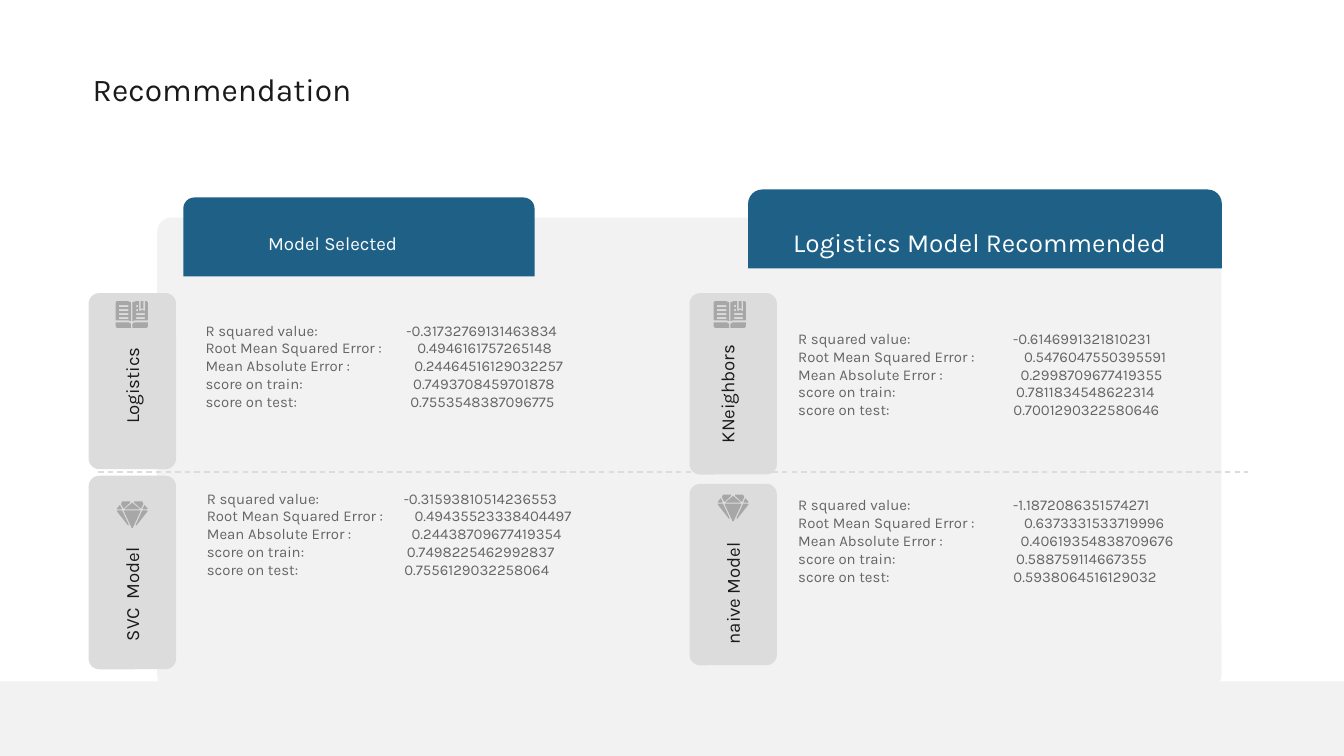
from lxml.etree import SubElement as Sub
from pptx import Presentation
from pptx.dml.color import RGBColor
from pptx.enum.dml import MSO_LINE as Dash
from pptx.enum.shapes import MSO_CONNECTOR as Conn, MSO_SHAPE as Kind
from pptx.enum.text import MSO_ANCHOR as Anchor, MSO_AUTO_SIZE as Fit, PP_ALIGN as Align
from pptx.oxml.ns import qn
from pptx.util import Pt

PALE = RGBColor(0xF2, 0xF2, 0xF2)
GREY = RGBColor(0xDC, 0xDC, 0xDC)
MID = RGBColor(0xA7, 0xA7, 0xA7)
BLUE = RGBColor(0x1F, 0x60, 0x87)
WHITE = RGBColor(0xFC, 0xFF, 0xFF)
DARK = RGBColor(0x1A, 0x1A, 0x1A)
SOFT = RGBColor(0x65, 0x65, 0x65)

FONT = "Karla"
TAB_W = 46.8
UNIT = 0.72
NAMES = ["R squared value:", "Root Mean Squared Error :", "Mean Absolute Error :",
         "score on train:", "score on test:"]


def rect(x, y, w, h):
    return [(x, y), (x + w, y), (x + w, y + h), (x, y + h)]


def flip(paths, width):
    return [[(width - x, y) for x, y in path] for path in paths]


BASE = [[(0, 16), (10, 16), (11.5, 17), (11.5, 20), (1, 20), (0, 19)]]
BOOK = [
    [(0, 1), (1, 0), (9, 0), (11.5, 1), (11.5, 15), (10, 14.5), (0, 14.5)],
    [(12.5, 1), (15.5, 0), (17.5, 0), (17.5, 7), (18, 7.5), (20, 6.5), (21.5, 7.5),
     (22, 7), (22, 0), (23, 0), (24, 1), (24, 14.5), (14, 14.5), (12.5, 15)],
    [(18.7, 0), (20.8, 0), (20.8, 6), (19.8, 5.3), (18.7, 6)],
    *[rect(2.5, y, 7, 1.5) for y in (3, 6, 9, 12)],
    *[rect(15.3, y, 1.5, 1.5) for y in (3, 6)],
    *[rect(15.3, y, 6.5, 1.5) for y in (9, 12)],
    *BASE, *flip(BASE, 24),
]
SIDE = [
    [(4, 0), (10, 0), (10, 1), (5.3, 5.3), (4.7, 5), (3.2, 2)],
    [(2.3, 2.7), (3.8, 5.5), (3.3, 6), (0.4, 6), (0, 5.5)],
    [(0.4, 6.8), (4, 6.8), (9, 17.5), (8.4, 18), (0, 7.3)],
]
GEM = [
    *SIDE, *flip(SIDE, 23),
    [(11.5, 1), (17, 5.5), (16.7, 6), (6.3, 6), (6, 5.5)],
    [(5.5, 6.8), (17.5, 6.8), (17.7, 7.3), (11.8, 20), (11.2, 20), (5.3, 7.3)],
]


def paint(shape, color):
    shape.shadow.inherit = False
    shape.fill.solid()
    shape.fill.fore_color.rgb = color
    shape.line.fill.background()


def block(slide, kind, box, color, *adj):
    shape = slide.shapes.add_shape(kind, *map(Pt, box))
    paint(shape, color)
    for i, val in enumerate(adj):
        shape.adjustments[i] = val


def icon(slide, x, y, paths):
    grid = [[(px * 10, py * 10) for px, py in path] for path in paths]
    pen = slide.shapes.build_freeform(*grid[0][0], scale=Pt(UNIT / 10))
    pen.add_line_segments(grid[0][1:], close=True)
    for path in grid[1:]:
        pen.move_to(*path[0])
        pen.add_line_segments(path[1:], close=True)
    paint(pen.convert_to_shape(Pt(x), Pt(y)), MID)


def text(slide, box, lines, size, color, align=Align.LEFT, anchor=Anchor.MIDDLE, turn=0):
    shape = slide.shapes.add_textbox(*map(Pt, box))
    shape.rotation = turn
    frame = shape.text_frame
    frame.margin_left = frame.margin_right = Pt(1.44)
    frame.margin_top = frame.margin_bottom = Pt(1.44)
    frame.word_wrap = True
    frame.auto_size = Fit.SHAPE_TO_FIT_TEXT
    frame.vertical_anchor = anchor
    frame.text = "\n".join(lines)
    for para in frame.paragraphs:
        para.alignment = align
        para.font.name = FONT
        para.font.size = Pt(size)
        para.font.color.rgb = color
    return frame


def stats(slide, x, y, vals, stops):
    lines = [f"{name}\t{val}" for name, val in zip(NAMES, vals)]
    frame = text(slide, (x, y, 228.2, 51.8), lines, 8, SOFT, anchor=Anchor.TOP)
    for para, stop in zip(frame.paragraphs, stops):
        props = para._p.get_or_add_pPr()
        tabs = props.find(qn("a:tabLst"))
        if tabs is None:
            tabs = Sub(props, qn("a:tabLst"))
        Sub(tabs, qn("a:tab"), pos=str(Pt(stop)), algn="l")


def card(slide, box, name, label, art, spot, data, vals, stops):
    x, y = box[:2]
    dx, dy, wide = label
    block(slide, Kind.ROUNDED_RECTANGLE, box, GREY, 0.12)
    text(slide, (x + dx, y + dy, wide, 15.1), [name], 10, DARK, Align.RIGHT, turn=270)
    icon(slide, x + spot[0], y + spot[1], art)
    stats(slide, x + data[0], y + data[1], vals, stops)


def header(slide, box, curve, label, title, size):
    block(slide, Kind.ROUND_2_SAME_RECTANGLE, box, BLUE, curve, 0)
    text(slide, label, [title], size, WHITE, Align.CENTER)


def divider(slide, x, y, w):
    line = slide.shapes.add_connector(Conn.STRAIGHT, Pt(x), Pt(y), Pt(x + w), Pt(y))
    line.line.color.rgb = GREY
    line.line.width = Pt(0.75)
    line.line.dash_style = Dash.DASH
    Sub(line._element.spPr, qn("a:effectLst"))


def main():
    deck = Presentation()
    deck.slide_width, deck.slide_height = Pt(720), Pt(405)
    slide = deck.slides.add_slide(deck.slide_layouts[6])

    block(slide, Kind.ROUNDED_RECTANGLE, (84.2, 116.6, 570.2, 252.7), PALE, 0.03)
    header(slide, (98.2, 105.8, 188.2, 42.2), 0.14, (109.4, 122.4, 137.5, 15.1),
           "Model Selected", 10)
    card(slide, (47.5, 157, TAB_W, 94.3), "Logistics", (-5.7, 48.9, 57.6),
         BOOK, (14.4, 4.3), (61.2, 13.6),
         ["-0.31732769131463834", "0.4946161757265148", "0.24464516129032257",
          "0.7493708459701878", "0.7553548387096775"],
         [107.6, 113.4, 111.8, 111.2, 109.7])
    card(slide, (47.5, 254.9, TAB_W, 103.7), "SVC  Model", (-5.7, 58.3, 57.6),
         GEM, (15.1, 13.7), (61.9, 5.7),
         ["-0.31593810514236553", "0.49435523338404497", "0.24438709677419354",
          "0.7498225462992837", "0.7556129032258064"],
         [105.5, 111.3, 109.7, 107.2, 105.8])
    divider(slide, 52.6, 252.9, 616.2)
    text(slide, (48.2, 35.3, 513.4, 23.8), ["Recommendation"], 17, DARK,
         anchor=Anchor.BOTTOM)
    block(slide, Kind.RECTANGLE, (0, 365, 720, 40), PALE)

    header(slide, (400.8, 101.5, 253.8, 42.2), 0.18, (416.2, 119.5, 217.4, 20.2),
           "Logistics Model Recommended", 14)
    stops = [115.2, 121, 119.2, 116.8, 115.3]
    card(slide, (369.4, 157, TAB_W, 97.2), "KNeighbors", (-8.7, 47.5, 57.6),
         BOOK, (12.9, 4.3), (56.8, 18),
         ["-0.6146991321810231", "0.5476047550395591", "0.2998709677419355",
          "0.7811834548622314", "0.7001290322580646"], stops)
    card(slide, (369.4, 259.2, TAB_W, 97.2), "naive Model", (-10.8, 56.2, 67.7),
         GEM, (15.1, 5.8), (56.8, 5),
         ["-1.1872086351574271", "0.6373331533719996", "0.40619354838709676",
          "0.588759114667355", "0.5938064516129032"], stops)
    deck.save("out.pptx")


if __name__ == "__main__":
    main()
